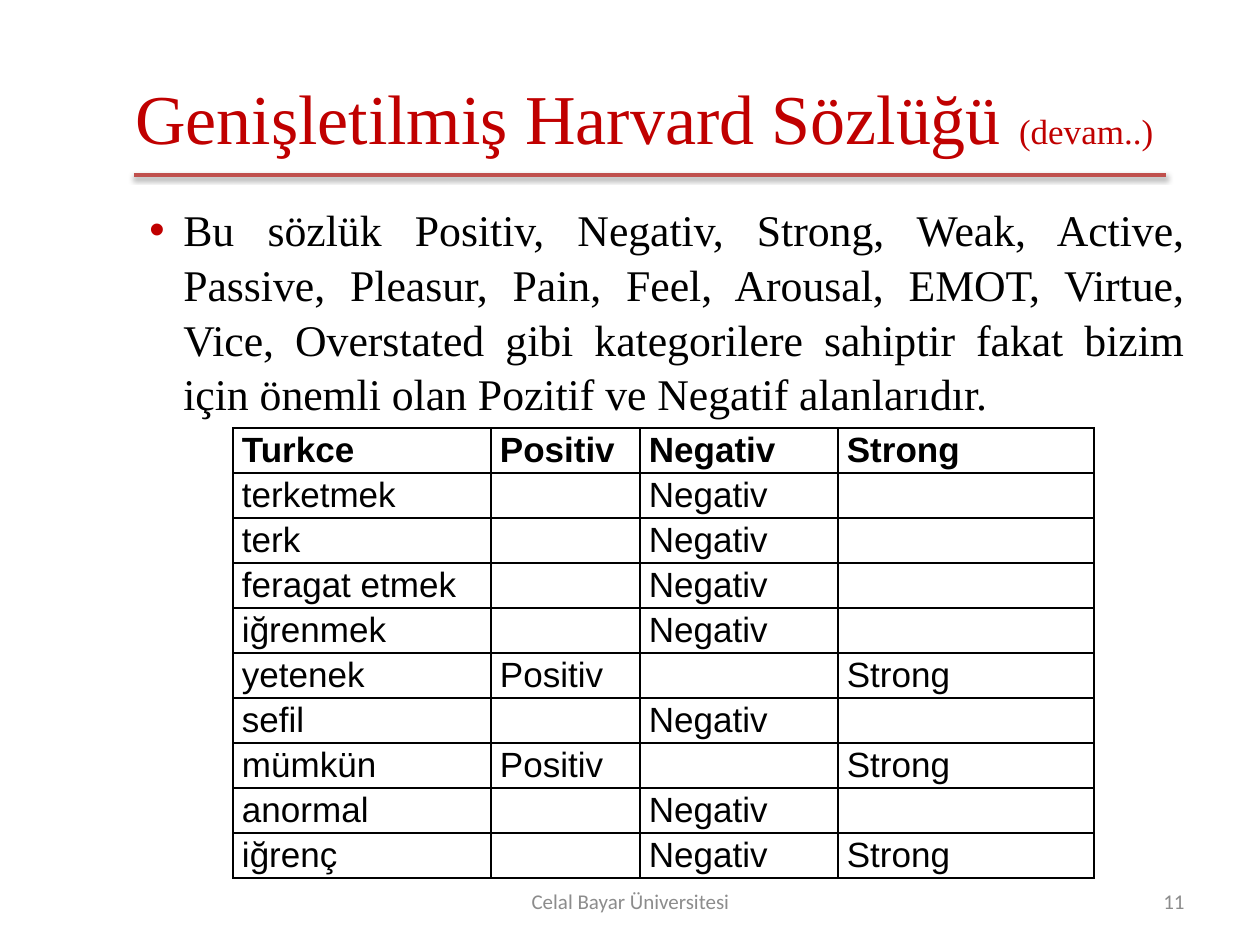
from lxml.etree import SubElement
from pptx import Presentation
from pptx.dml.color import RGBColor
from pptx.enum.shapes import MSO_CONNECTOR
from pptx.enum.text import MSO_ANCHOR, PP_ALIGN
from pptx.oxml import parse_xml
from pptx.oxml.ns import nsdecls, qn
from pptx.util import Pt

PX = 914400 // 126
RED = RGBColor(0xC0, 0x00, 0x00)
RULE_RED = RGBColor(0xC0, 0x50, 0x4D)
GREY = RGBColor(0x8C, 0x8C, 0x8C)
BLACK = RGBColor(0x00, 0x00, 0x00)
SERIF, SANS, FOOTER_FONT = "Times New Roman", "Arial", "Calibri"

TITLE = [("Genişletilmiş Harvard Sözlüğü ", 40), ("(devam..)", 20)]
BODY = (
    "Bu sözlük Positiv, Negativ, Strong, Weak, Active, Passive, Pleasur, Pain, "
    "Feel, Arousal, EMOT, Virtue, Vice, Overstated gibi kategorilere sahiptir "
    "fakat bizim için önemli olan Pozitif ve Negatif alanlarıdır."
)
FOOTER, PAGE_NUMBER = "Celal Bayar Üniversitesi", "11"
HEADER = ("Turkce", "Positiv", "Negativ", "Strong")
WORDS = [
    ("terketmek", {"Negativ"}),
    ("terk", {"Negativ"}),
    ("feragat etmek", {"Negativ"}),
    ("iğrenmek", {"Negativ"}),
    ("yetenek", {"Positiv", "Strong"}),
    ("sefil", {"Negativ"}),
    ("mümkün", {"Positiv", "Strong"}),
    ("anormal", {"Negativ"}),
    ("iğrenç", {"Negativ", "Strong"}),
]
COLUMN_WIDTHS = (258, 149, 198, 256)
HEADER_HEIGHT, ROW_HEIGHT = 42, 43


def px(*lengths):
    return [length * PX for length in lengths]


def add_span(para, text, size, font, color, bold=False):
    span = para.add_run()
    span.text = text
    span.font.size = Pt(size)
    span.font.name = font
    span.font.color.rgb = color
    span.font.bold = bold


def add_text(page, area, spans, font, color, align=PP_ALIGN.LEFT, anchor=MSO_ANCHOR.MIDDLE):
    """Add a one-paragraph box from (text, size) spans and return the paragraph."""
    frame = page.shapes.add_textbox(*px(*area)).text_frame
    frame.word_wrap = True
    frame.vertical_anchor = anchor
    para = frame.paragraphs[0]
    para.alignment = align
    for text, size in spans:
        add_span(para, text, size, font, color)
    return para


def add_bullet(para, color, margin, indent):
    properties = para._p.get_or_add_pPr()
    properties.set("marL", str(margin * PX))
    properties.set("indent", str(indent * PX))
    bullet_color = SubElement(properties, qn("a:buClr"))
    SubElement(bullet_color, qn("a:srgbClr"), val=str(color))
    SubElement(properties, qn("a:buFont"), typeface=SANS)
    SubElement(properties, qn("a:buChar"), char="•")


def add_rule(page, left, right, y):
    rule = page.shapes.add_connector(MSO_CONNECTOR.STRAIGHT, *px(left, y, right, y))
    rule.line.color.rgb = RULE_RED
    rule.line.width = Pt(2)
    rule._element.spPr.append(parse_xml(
        f'<a:effectLst {nsdecls("a")}><a:outerShdw blurRad="{Pt(3.1)}" dist="{Pt(1.6)}" '
        'dir="5400000" rotWithShape="0"><a:srgbClr val="000000"><a:alpha val="38000"/>'
        "</a:srgbClr></a:outerShdw></a:effectLst>"))


def add_borders(cell):
    properties = cell._tc.get_or_add_tcPr()
    for position, side in enumerate(("lnL", "lnR", "lnT", "lnB")):
        properties.insert(position, parse_xml(
            f'<a:{side} {nsdecls("a")} w="{Pt(1)}"><a:solidFill>'
            f'<a:srgbClr val="{BLACK}"/></a:solidFill></a:{side}>'))


def add_word_table(page, left, top):
    rows = [HEADER] + [
        (word, *(name if name in marks else "" for name in HEADER[1:]))
        for word, marks in WORDS
    ]
    heights = [HEADER_HEIGHT] + [ROW_HEIGHT] * len(WORDS)
    area = px(left, top, sum(COLUMN_WIDTHS), sum(heights))
    table = page.shapes.add_table(len(rows), len(HEADER), *area).table
    table.first_row = table.horz_banding = False
    for column, width in zip(table.columns, COLUMN_WIDTHS):
        column.width = width * PX
    for r, (texts, height) in enumerate(zip(rows, heights)):
        table.rows[r].height = height * PX
        for c, text in enumerate(texts):
            cell = table.cell(r, c)
            cell.fill.background()
            cell.margin_left = cell.margin_right = 9 * PX
            cell.margin_top = cell.margin_bottom = 0
            add_borders(cell)
            if text:
                para = cell.text_frame.paragraphs[0]
                para.line_spacing = 1.07
                add_span(para, text, 20, SANS, BLACK, bold=r == 0)


def main():
    deck = Presentation()
    deck.slide_width, deck.slide_height = px(1260, 945)
    page = deck.slides.add_slide(deck.slide_layouts[6])

    add_text(page, (123, 38, 1074, 157), TITLE, SERIF, RED)
    add_text(page, (903, 876, 294, 50), [(PAGE_NUMBER, 12)], FOOTER_FONT, GREY, PP_ALIGN.RIGHT)
    add_text(page, (431, 876, 399, 50), [(FOOTER, 12)], FOOTER_FONT, GREY, PP_ALIGN.CENTER)
    add_rule(page, 134, 1166, 175)
    add_word_table(page, 233, 428)
    para = add_text(page, (123, 195, 1074, 227), [(BODY, 25)], SERIF, BLACK,
                    PP_ALIGN.JUSTIFY, MSO_ANCHOR.TOP)
    para.line_spacing = 1.04
    para.space_before = Pt(2)
    add_bullet(para, RED, 48, -34)

    deck.save("out.pptx")


if __name__ == "__main__":
    main()
